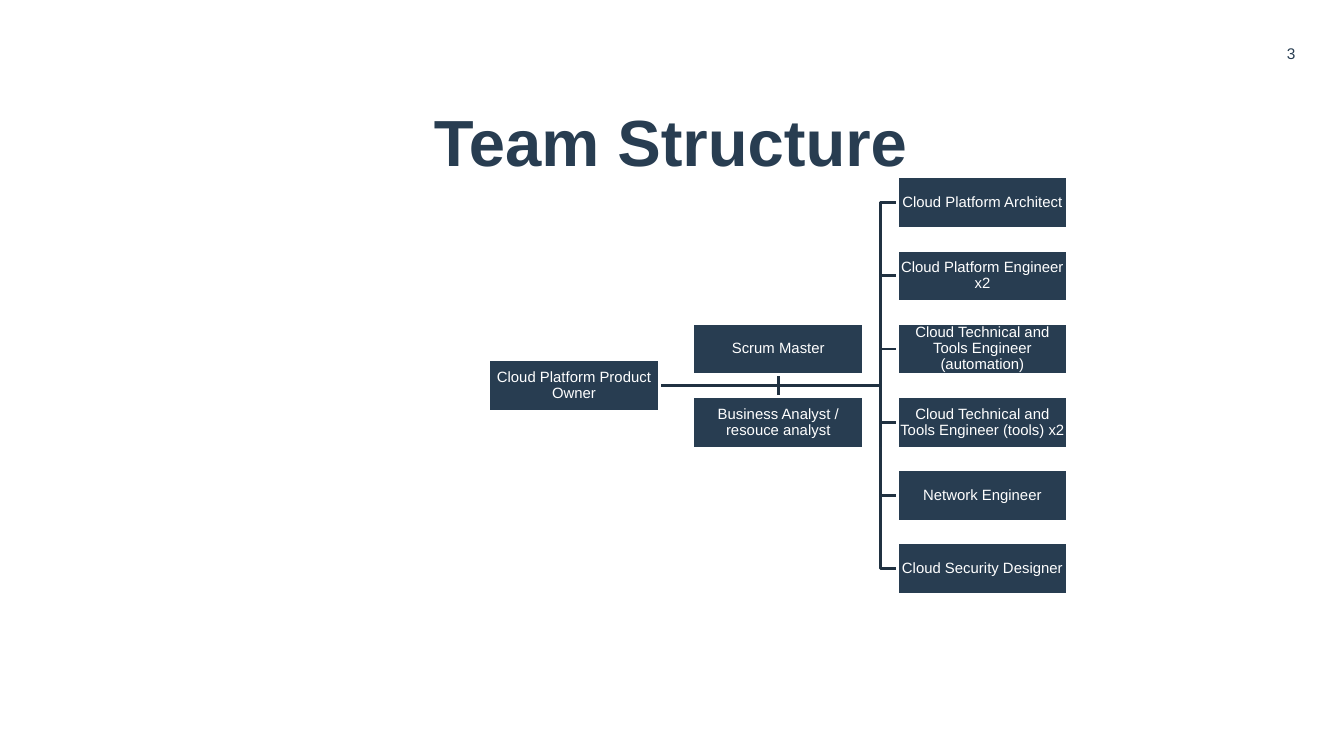
import pptx
import pptx.util
import pptx.dml.color
import pptx.enum.shapes
import pptx.enum.text
import dataclasses

Pt = pptx.util.Pt
Align = pptx.enum.text.PP_ALIGN
Anchor = pptx.enum.text.MSO_ANCHOR
Kind = pptx.enum.shapes.MSO_SHAPE


@dataclasses.dataclass(frozen=True)
class Theme:
    font: str = "Arial"
    navy: str = "283D51"
    line: str = "203141"
    white: str = "FFFFFF"
    title: float = 48.2
    label: float = 11
    page: float = 11.4
    stroke: float = 2


THEME = Theme()
WIDE, HIGH = 126, 38
STEP = 54.08
FIRST = 130.8
LEAD_X, AIDE_X, TEAM_X = 361.4, 512.4, 663.3
SPINE = 651
TEAM = [
    "Cloud Platform Architect",
    "Cloud Platform Engineer x2",
    "Cloud Technical and Tools Engineer (automation)",
    "Cloud Technical and Tools Engineer (tools) x2",
    "Network Engineer",
    "Cloud Security Designer",
]
AIDES = ["Scrum Master", "Business Analyst / resouce analyst"]


def paint(color):
    return pptx.dml.color.RGBColor.from_string(color)


def write(shape, text, size, color, align=Align.CENTER, anchor=Anchor.TOP,
          bold=False, pad=(7.2, 3.6), space=1.0):
    frame = shape.text_frame
    frame.word_wrap = True
    frame.vertical_anchor = anchor
    frame.margin_left = frame.margin_right = Pt(pad[0])
    frame.margin_top = frame.margin_bottom = Pt(pad[1])
    para = frame.paragraphs[0]
    para.alignment = align
    para.line_spacing = space
    run = para.add_run()
    run.text = text
    run.font.name = THEME.font
    run.font.size = Pt(size)
    run.font.bold = bold
    run.font.color.rgb = paint(color)


def label(slide, text, x, y, w, h, **style):
    box = slide.shapes.add_textbox(Pt(x), Pt(y), Pt(w), Pt(h))
    write(box, text, **style)


def edge(shape, color):
    shape.shadow.inherit = False
    shape.line.color.rgb = paint(color)
    shape.line.width = Pt(THEME.stroke)


def role(slide, text, x, row):
    box = slide.shapes.add_shape(
        Kind.RECTANGLE, Pt(x), Pt(FIRST + row * STEP), Pt(WIDE), Pt(HIGH))
    edge(box, THEME.white)
    box.fill.solid()
    box.fill.fore_color.rgb = paint(THEME.navy)
    write(box, text, THEME.label, THEME.white, anchor=Anchor.MIDDLE,
          pad=(0.7, 0.7), space=0.9)


def branch(slide, *points):
    start, *rest = [(Pt(x), Pt(y)) for x, y in points]
    pen = slide.shapes.build_freeform(*start)
    pen.add_line_segments(rest, close=False)
    line = pen.convert_to_shape()
    line.fill.background()
    edge(line, THEME.line)


def center(row):
    return FIRST + row * STEP + HIGH / 2


def chart(slide):
    mid = (len(TEAM) - 1) / 2
    axis = center(mid)
    root = (LEAD_X + WIDE, axis)
    stem = AIDE_X + WIDE / 2
    gap = (STEP - HIGH) / 2
    for y in (axis + gap, axis - gap):
        branch(slide, root, (stem, axis), (stem, y))
    for row in reversed(range(len(TEAM))):
        y = center(row)
        branch(slide, root, (SPINE, axis), (SPINE, y), (TEAM_X, y))
    role(slide, "Cloud Platform Product Owner", LEAD_X, mid)
    for row, name in enumerate(TEAM):
        role(slide, name, TEAM_X, row)
    for row, name in enumerate(AIDES, 2):
        role(slide, name, AIDE_X, row)


def main():
    deck = pptx.Presentation()
    deck.slide_width, deck.slide_height = Pt(993.6), Pt(558.7)
    slide = deck.slides.add_slide(deck.slide_layouts[6])
    label(slide, "3", 739.4, 28.8, 225.4, 16.6, size=THEME.page,
          color=THEME.navy, align=Align.RIGHT)
    chart(slide)
    label(slide, "Team Structure", 63.2, 71.3, 865.4, 59, size=THEME.title,
          color=THEME.navy, bold=True)
    deck.save("out.pptx")


if __name__ == "__main__":
    main()
